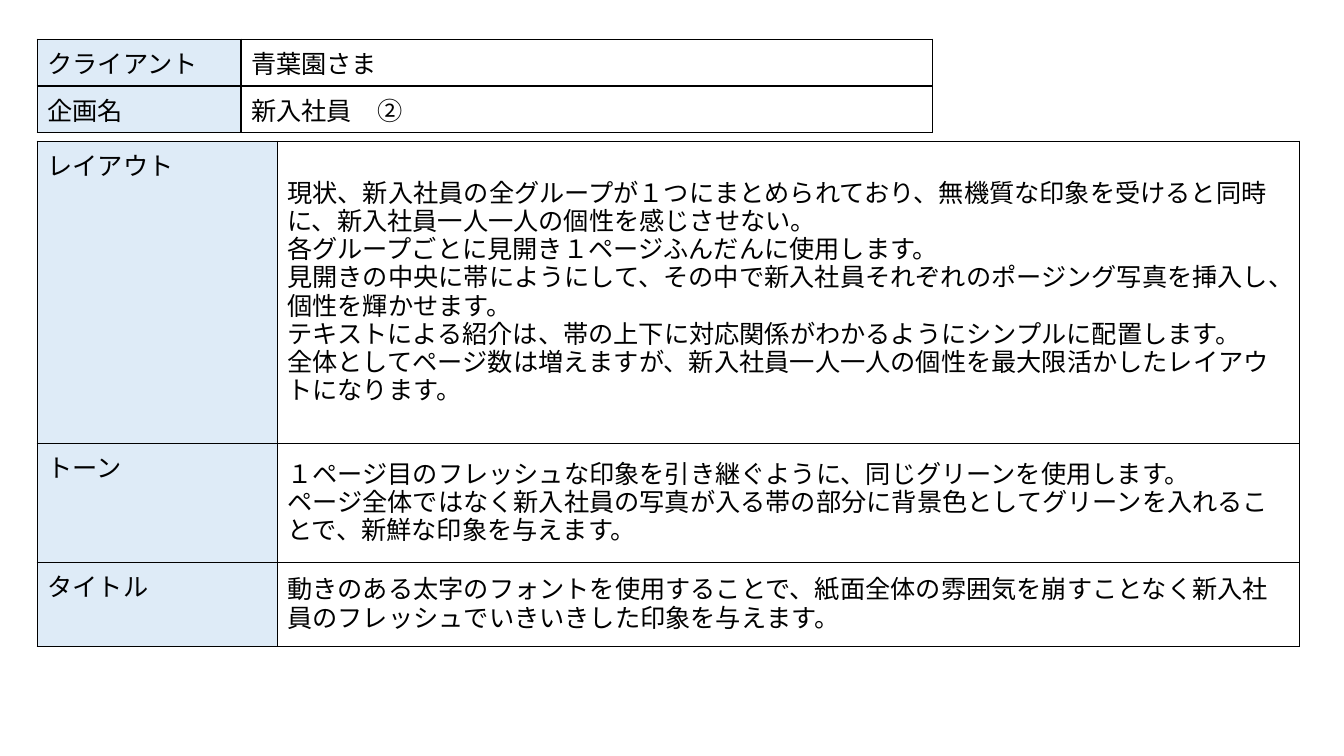
import lxml.etree
import pptx
import pptx.util
import pptx.dml.color
import pptx.enum.text
import pptx.oxml.ns

Inches = pptx.util.Inches
Pt = pptx.util.Pt
COLORS = {"label": "DEEBF7", "body": "FFFFFF", "ink": "000000"}
LABEL_FONT = "Noto Sans CJK JP"
BODY_FONT = "Arial"

HEADER = {
    "left": 0.37, "top": 0.39, "columns": [2.02, 6.86], "rows": [0.46, 0.46],
    "font": LABEL_FONT, "anchor": "TOP",
    "content": [
        ("クライアント", ["青葉園さま"]),
        ("企画名", ["新入社員　②"]),
    ],
}
PLAN = {
    "left": 0.37, "top": 1.4, "columns": [2.38, 10.14], "rows": [3.0, 1.18, 0.83],
    "font": BODY_FONT, "anchor": "MIDDLE",
    "content": [
        ("レイアウト", [
            "現状、新入社員の全グループが１つにまとめられており、無機質な印象を受けると同時に、新入社員一人一人の個性を感じさせない。",
            "各グループごとに見開き１ページふんだんに使用します。",
            "見開きの中央に帯にようにして、その中で新入社員それぞれのポージング写真を挿入し、個性を輝かせます。",
            "テキストによる紹介は、帯の上下に対応関係がわかるようにシンプルに配置します。",
            "全体としてページ数は増えますが、新入社員一人一人の個性を最大限活かしたレイアウトになります。",
        ]),
        ("トーン", [
            "１ページ目のフレッシュな印象を引き継ぐように、同じグリーンを使用します。",
            "ページ全体ではなく新入社員の写真が入る帯の部分に背景色としてグリーンを入れることで、新鮮な印象を与えます。",
        ]),
        ("タイトル", [
            "動きのある太字のフォントを使用することで、紙面全体の雰囲気を崩すことなく新入社員のフレッシュでいきいきした印象を与えます。",
        ]),
    ],
}


def rgb(name):
    """Return the named palette colour."""
    return pptx.dml.color.RGBColor.from_string(COLORS[name])


def add_child(parent, tag, **attributes):
    """Append a DrawingML element to its parent."""
    return lxml.etree.SubElement(parent, pptx.oxml.ns.qn(tag), **attributes)


def add_borders(cell):
    """Draw a thin line on all four sides, ahead of the cell fill."""
    properties = cell._tc.get_or_add_tcPr()
    for side in ("a:lnL", "a:lnR", "a:lnT", "a:lnB"):
        line = add_child(properties, side, w=str(Pt(1)))
        fill = add_child(line, "a:solidFill")
        add_child(fill, "a:srgbClr", val=COLORS["ink"])


def fill_cell(cell, lines, font, color, anchor):
    """Write the lines into a cell and style it."""
    add_borders(cell)
    cell.fill.solid()
    cell.fill.fore_color.rgb = rgb(color)
    cell.vertical_anchor = pptx.enum.text.MSO_ANCHOR[anchor]
    frame = cell.text_frame
    for index, line in enumerate(lines):
        para = frame.add_paragraph() if index else frame.paragraphs[0]
        span = para.add_run()
        span.text = line
        for name, value in {"size": Pt(18), "name": font, "bold": False}.items():
            setattr(span.font, name, value)
        span.font.color.rgb = rgb("ink")
        properties = span._r.get_or_add_rPr()
        properties.set("lang", "ja-JP")
        add_child(properties, "a:ea", typeface=font)


def add_sheet(page, sheet):
    """Add a table with a label column and a text column."""
    columns, rows = sheet["columns"], sheet["rows"]
    table = page.shapes.add_table(
        len(rows), len(columns), Inches(sheet["left"]), Inches(sheet["top"]),
        Inches(sum(columns)), Inches(sum(rows))).table
    for name in ("first_row", "horz_banding"):
        setattr(table, name, False)
    for column, width in zip(table.columns, columns):
        column.width = Inches(width)
    for row, height in zip(table.rows, rows):
        row.height = Inches(height)
    for index, (label, lines) in enumerate(sheet["content"]):
        fill_cell(table.cell(index, 0), [label], LABEL_FONT, "label", "TOP")
        fill_cell(table.cell(index, 1), lines, sheet["font"], "body", sheet["anchor"])


deck = pptx.Presentation()
deck.slide_width, deck.slide_height = Inches(13.33), Inches(7.5)
page = deck.slides.add_slide(deck.slide_layouts[6])
for sheet in (HEADER, PLAN):
    add_sheet(page, sheet)
deck.save("out.pptx")
